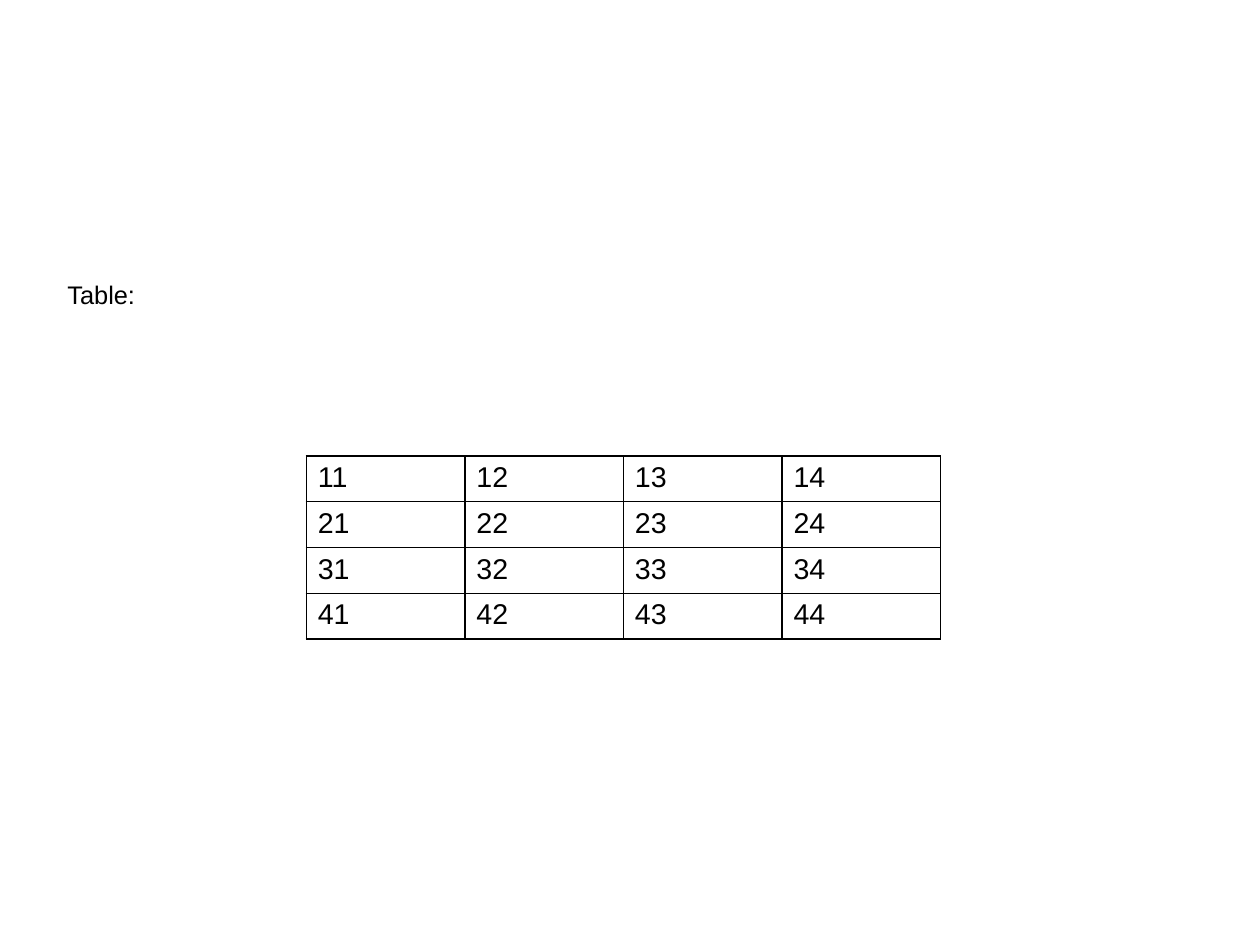
from lxml import etree
from pptx import Presentation
from pptx import util as u
from pptx.dml.color import RGBColor
from pptx.enum import text
from pptx.oxml import ns

CAPTION = "Table:"
ROWS = [
    ["11", "12", "13", "14"],
    ["21", "22", "23", "24"],
    ["31", "32", "33", "34"],
    ["41", "42", "43", "44"],
]
COLORS = {"ink": "000000", "paper": "FFFFFF"}
FONT = "Arial"
SLIDE_SIZE = (793.7, 595.3)
CAPTION_BOX = (42.5, 175.7, 694.8, 344.9)
TABLE_LEFT, TABLE_TOP = 193, 287.3
COLUMN_WIDTH, ROW_HEIGHT = 99.9, 26.64
BORDER_WIDTH = 1


def add_run(paragraph, words, size):
    run = paragraph.add_run()
    run.text = words
    run.font.name = FONT
    run.font.size = u.Pt(size)
    run.font.color.rgb = RGBColor.from_string(COLORS["ink"])


def add_borders(cell):
    """Draw a solid line on all four sides; call before setting the fill."""
    properties = cell._tc.get_or_add_tcPr()
    for side in ("a:lnL", "a:lnR", "a:lnT", "a:lnB"):
        line = etree.SubElement(properties, ns.qn(side), w=str(u.Pt(BORDER_WIDTH)))
        fill = etree.SubElement(line, ns.qn("a:solidFill"))
        etree.SubElement(fill, ns.qn("a:srgbClr"), val=COLORS["ink"])


def add_caption(slide):
    frame = slide.shapes.add_textbox(*map(u.Pt, CAPTION_BOX)).text_frame
    frame.word_wrap = True
    frame.vertical_anchor = text.MSO_ANCHOR.TOP
    frame.margin_left = frame.margin_right = u.Pt(0)
    frame.margin_top = frame.margin_bottom = u.Pt(0)
    add_run(frame.paragraphs[0], CAPTION, 16)


def add_number_table(slide):
    row_count, column_count = len(ROWS), len(ROWS[0])
    table = slide.shapes.add_table(
        row_count, column_count, u.Pt(TABLE_LEFT), u.Pt(TABLE_TOP),
        u.Pt(COLUMN_WIDTH * column_count), u.Pt(ROW_HEIGHT * row_count),
    ).table
    table.first_row = table.horz_banding = False
    for row, values in zip(table.rows, ROWS):
        for cell, value in zip(row.cells, values):
            add_borders(cell)
            cell.fill.solid()
            cell.fill.fore_color.rgb = RGBColor.from_string(COLORS["paper"])
            add_run(cell.text_frame.paragraphs[0], value, 18)


def main():
    presentation = Presentation()
    presentation.slide_width, presentation.slide_height = map(u.Pt, SLIDE_SIZE)
    slide = presentation.slides.add_slide(presentation.slide_layouts[6])
    add_caption(slide)
    add_number_table(slide)
    presentation.save("out.pptx")


if __name__ == "__main__":
    main()
